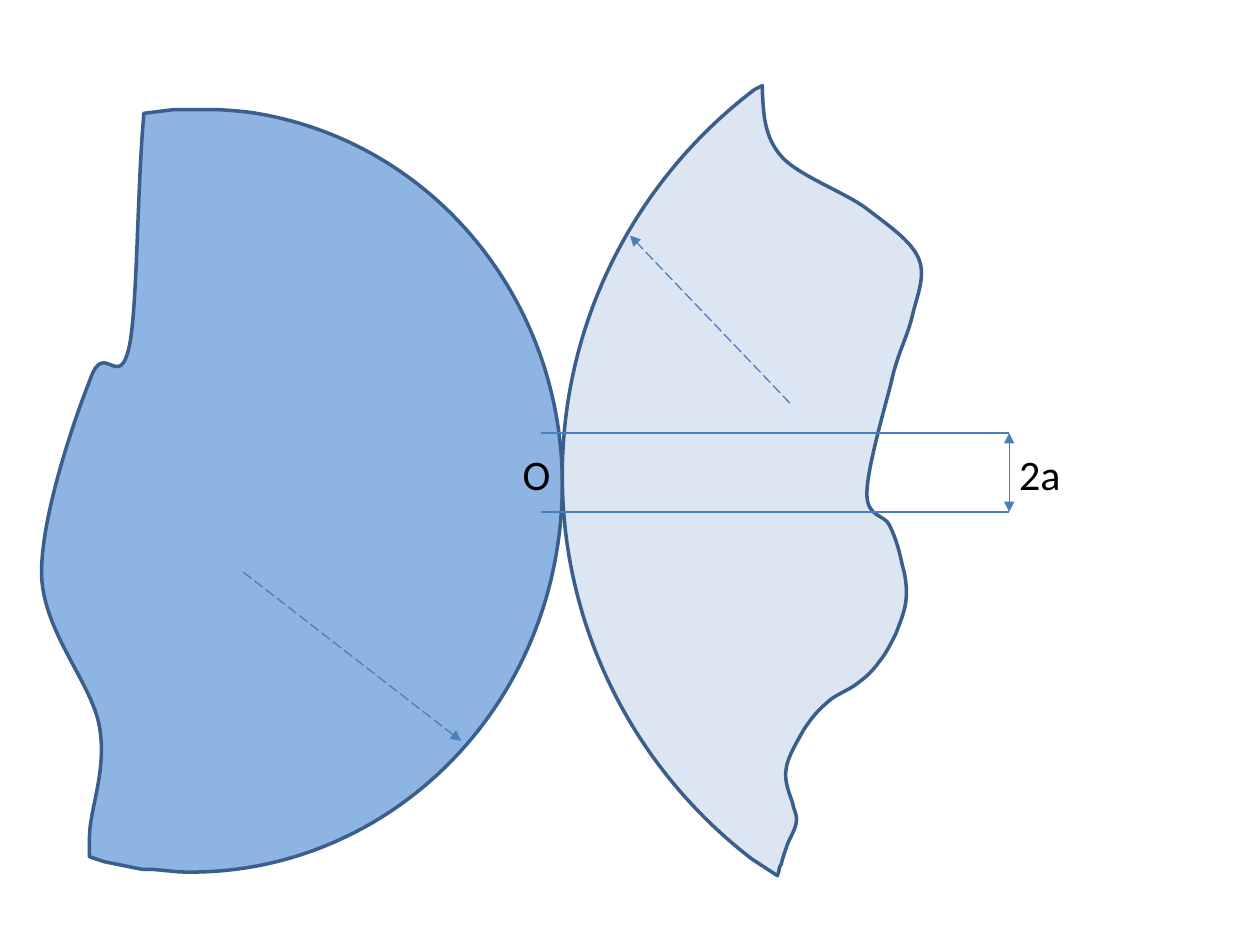
from lxml import etree
from pptx import Presentation
from pptx import util as u
from pptx.dml.color import RGBColor
from pptx.enum import dml, text
from pptx.oxml.ns import qn

BLUE = RGBColor(0x8E, 0xB4, 0xE3)
PALE = RGBColor(0xDC, 0xE6, 0xF2)
OUTLINE = RGBColor(0x3A, 0x5F, 0x8C)
THIN = RGBColor(0x4B, 0x7E, 0xBC)
BLACK = RGBColor(0, 0, 0)

UNIT = u.Pt(0.72)  # outline grid: 100 units to the inch

# Outlines: a start point, then lines (x, y) and cubic curves (six values)
LEFT_BODY = [
    (197, 89),
    (357, 112, 467, 264, 443, 430), (421, 586, 290, 697, 142, 692),
    (121, 690), (113, 690), (103, 688, 93, 686, 83, 684),
    (71, 680), (71, 665),
    (71, 642, 85, 612, 79, 577), (73, 542, 35, 503, 33, 457),
    (32, 410, 60, 330, 72, 300), (83, 269, 95, 313, 103, 273),
    (109, 241, 109, 149, 114, 93),
    (114, 90), (138, 87), (158, 87), (168, 87),
    (177, 87, 187, 88, 197, 89),
]
RIGHT_BODY = [
    (605, 68), (605, 72),
    (606, 89, 606, 108, 620, 124), (633, 139, 669, 152, 687, 165),
    (705, 179, 723, 191, 729, 205), (735, 219, 728, 234, 724, 251),
    (720, 268, 712, 281, 707, 305), (701, 328, 688, 373, 688, 392),
    (688, 411, 702, 408, 706, 417), (711, 427, 714, 438, 716, 448),
    (719, 458, 720, 468, 719, 477), (718, 486, 714, 495, 711, 503),
    (707, 511, 703, 519, 698, 525), (693, 532, 688, 537, 681, 542),
    (674, 548, 663, 551, 656, 558), (649, 564, 644, 570, 638, 579),
    (633, 588, 625, 601, 624, 610), (622, 620, 627, 631, 629, 637),
    (630, 644, 633, 646, 632, 652), (632, 657, 627, 665, 625, 670),
    (623, 676, 622, 678, 620, 686), (619, 687, 618, 690, 618, 692),
    (617, 695), (597, 682),
    (520, 623, 465, 535, 450, 431), (430, 287, 492, 152, 599, 71),
    (605, 68),
]


def add_body(s, outline, color):
    """Closed outline of lines and curves, filled with one colour."""
    start, *segments = outline
    points = [seg[i:i + 2] for seg in segments for i in range(0, len(seg), 2)]
    builder = s.shapes.build_freeform(*start, scale=UNIT)
    builder.add_line_segments(points, close=True)
    sp = builder.convert_to_shape()
    sp.shadow.inherit = False
    sp.fill.solid()
    sp.fill.fore_color.rgb = color
    sp.line.color.rgb = OUTLINE
    sp.line.width = u.Pt(2)

    # Join the three points of each curve into one Bezier element
    steps = iter(list(sp._element.iter(qn("a:lnTo"))))
    for seg in segments:
        step = next(steps)
        if len(seg) == 6:
            step.tag = qn("a:cubicBezTo")
            for _ in range(2):
                extra = next(steps)
                step.append(extra[0])
                extra.getparent().remove(extra)


def add_line(s, x1, y1, x2, y2, dashed=False, arrows=()):
    """Thin line; arrows names its ends: headEnd, tailEnd."""
    sp = s.shapes.add_connector(1, u.Pt(x1), u.Pt(y1), u.Pt(x2), u.Pt(y2))
    sp.line.color.rgb = THIN
    sp.line.width = u.Pt(0.75)
    if dashed:
        sp.line.dash_style = dml.MSO_LINE.LONG_DASH
    ln = sp.line._get_or_add_ln()
    for end in arrows:
        etree.SubElement(ln, qn("a:" + end), type="triangle")
    etree.SubElement(sp._element.spPr, qn("a:effectLst"))


def add_label(s, x, y, label):
    sp = s.shapes.add_textbox(u.Pt(x), u.Pt(y), u.Pt(125.3), u.Pt(36))
    tf = sp.text_frame
    tf.word_wrap = True
    tf.auto_size = text.MSO_AUTO_SIZE.SHAPE_TO_FIT_TEXT
    r = tf.paragraphs[0].add_run()
    r.text = label
    for key, value in {"name": "Calibri", "size": u.Pt(24)}.items():
        setattr(r.font, key, value)
    r.font.color.rgb = BLACK


def main():
    prs = Presentation()
    prs.slide_width, prs.slide_height = u.Pt(720), u.Pt(540)
    s = prs.slides.add_slide(prs.slide_layouts[6])

    # The two bodies in contact
    add_body(s, LEFT_BODY, BLUE)
    add_body(s, RIGHT_BODY, PALE)

    # Contact width with its dimension arrow
    left, right, top, bottom = 309, 576.7, 247.4, 292.6
    add_label(s, 575.3, 252.7, "2a")
    for y in (top, bottom):
        add_line(s, left, y, right, y)
    add_line(s, right, top, right, bottom, arrows=("headEnd", "tailEnd"))

    # Contact point
    add_label(s, 291.6, 252.7, "O")

    # Radius arrows
    for ends in ((139, 326.9, 263.5, 423.4), (451.4, 230.4, 360, 134.6)):
        add_line(s, *ends, dashed=True, arrows=("tailEnd",))

    prs.save("out.pptx")


if __name__ == "__main__":
    main()
